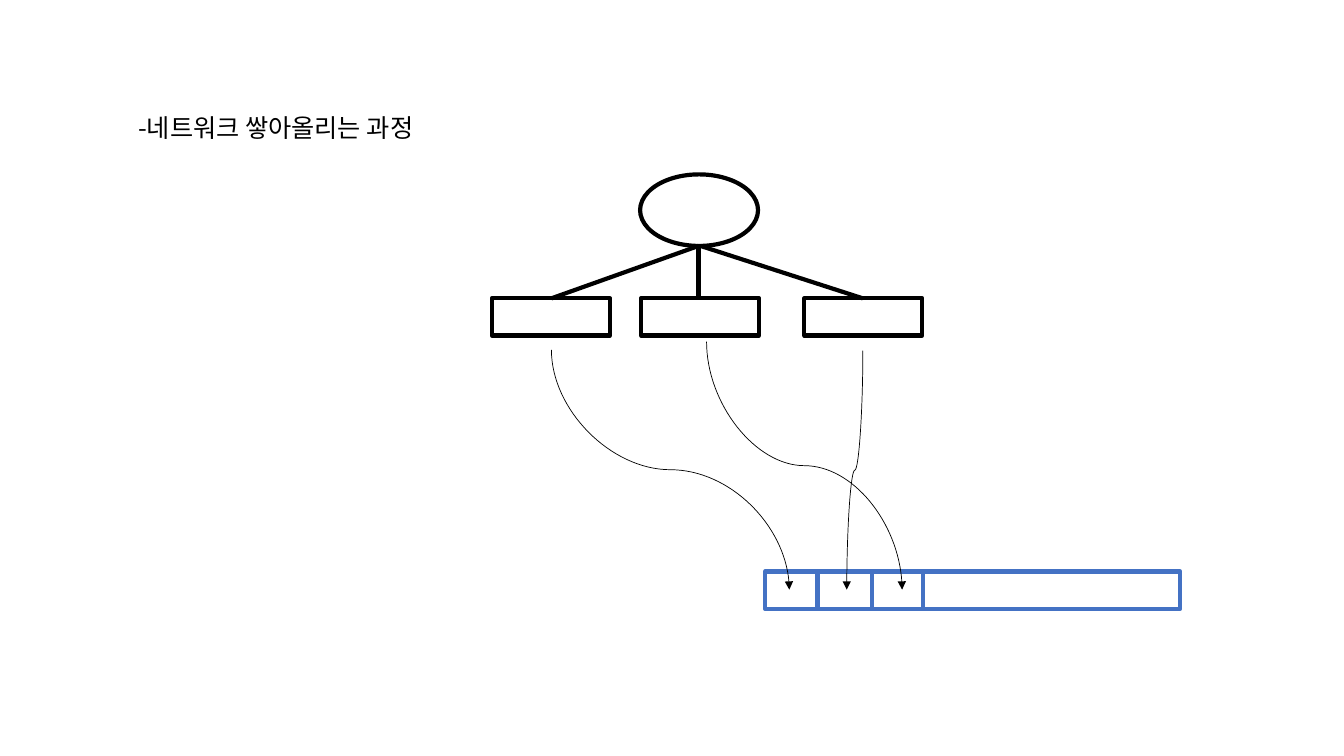
from lxml.etree import SubElement
from pptx import Presentation
from pptx.dml.color import RGBColor
from pptx.enum.shapes import MSO_CONNECTOR as Link, MSO_SHAPE as Preset
from pptx.enum.text import MSO_ANCHOR as Anchor, MSO_AUTO_SIZE as AutoSize, PP_ALIGN as Align
from pptx.oxml.ns import qn
from pptx.util import Inches, Pt

COLORS = {"ink": "000000", "memory": "4472C4"}
FONT = "Noto Sans CJK KR"
SLIDE_W, SLIDE_H = Inches(13.33), Inches(7.5)
COLUMNS, ROWS = 160, 90

NODE_W, NODE_H, NODE_TOP = 14.04, 4.44, 35.52
ROOT_TOP, ROOT_H = 20.76, 8.52
ROOT_BOTTOM = ROOT_TOP + ROOT_H
MEMORY_LEFT, MEMORY_TOP, MEMORY_W = 91.08, 68.04, 49.44
POINTER_END = 70.2


def col(count):
    return round(SLIDE_W * count / COLUMNS)


def row(count):
    return round(SLIDE_H * count / ROWS)


def apply_format(target, values):
    for key, value in values.items():
        setattr(target, key, value)


def style_line(line, color, weight):
    line.color.rgb = RGBColor.from_string(COLORS[color])
    line.width = Pt(weight)


def add_outline(slide, preset, left, top, width, height, color="ink"):
    outline = slide.shapes.add_shape(preset, col(left), row(top), col(width), row(height))
    outline.shadow.inherit = False
    outline.fill.background()
    style_line(outline.line, color, 3)


def add_link(slide, kind, start, end, color="ink", weight=3):
    link = slide.shapes.add_connector(
        kind, col(start[0]), row(start[1]), col(end[0]), row(end[1]))
    style_line(link.line, color, weight)
    SubElement(link._element.spPr, qn("a:effectLst"))
    return link


def add_pointer(slide, start, end):
    pointer = add_link(slide, Link.CURVE, start, end, weight=0.5)
    across, down = pointer.width, pointer.height
    center_x = pointer.left + across // 2
    center_y = pointer.top + down // 2
    apply_format(pointer, {
        "left": center_x - down // 2, "top": center_y - across // 2,
        "width": down, "height": across,
    })
    frame = pointer._element.spPr.find(qn("a:xfrm"))
    rightward = end[0] > start[0]
    frame.set("rot", "16200000" if rightward else "5400000")
    frame.set("flipH", "1" if rightward else "0")
    SubElement(pointer.line._get_or_add_ln(), qn("a:tailEnd"), type="triangle")


def add_heading(slide, text):
    heading = slide.shapes.title
    apply_format(heading, {
        "left": col(15.24), "top": row(12.72), "width": col(43.32), "height": row(4.8)})
    heading.text_frame.text = text
    apply_format(heading.text_frame, {
        "word_wrap": True, "auto_size": AutoSize.SHAPE_TO_FIT_TEXT,
        "vertical_anchor": Anchor.TOP})
    paragraph = heading.text_frame.paragraphs[0]
    paragraph.alignment = Align.LEFT
    font = paragraph.runs[0].font
    apply_format(font, {"name": FONT, "size": Pt(18), "bold": False})
    font.color.rgb = RGBColor.from_string(COLORS["ink"])
    SubElement(font._element, qn("a:ea"), typeface=FONT)


def add_tree(slide):
    add_outline(slide, Preset.OVAL, 76.2, ROOT_TOP, NODE_W, ROOT_H)
    for left in (58.56, 76.32, 95.76):
        add_outline(slide, Preset.RECTANGLE, left, NODE_TOP, NODE_W, NODE_H)
    for root_x, child_x in ((83.16, 65.64), (83.16, 83.16), (83.4, 102.72)):
        add_link(slide, Link.STRAIGHT, (root_x, ROOT_BOTTOM), (child_x, NODE_TOP))


def add_memory(slide):
    add_outline(slide, Preset.RECTANGLE, MEMORY_LEFT, MEMORY_TOP, MEMORY_W, NODE_H, "memory")
    for x, top, bottom in ((97.32, 68.28, 72.72), (103.8, 68.28, 72.72),
                           (109.92, MEMORY_TOP, 72.36)):
        add_link(slide, Link.STRAIGHT, (x, top), (x, bottom), "memory")


def main():
    deck = Presentation()
    apply_format(deck, {"slide_width": SLIDE_W, "slide_height": SLIDE_H})
    slide = deck.slides.add_slide(deck.slide_layouts[5])
    add_heading(slide, "-네트워크 쌓아올리는 과정")
    add_tree(slide)
    add_memory(slide)
    for start, slot_x in (((65.64, 41.64), 93.96), ((102.72, 41.76), 100.8),
                          ((84.12, 40.68), 107.4)):
        add_pointer(slide, start, (slot_x, POINTER_END))
    deck.save("out.pptx")


if __name__ == "__main__":
    main()
